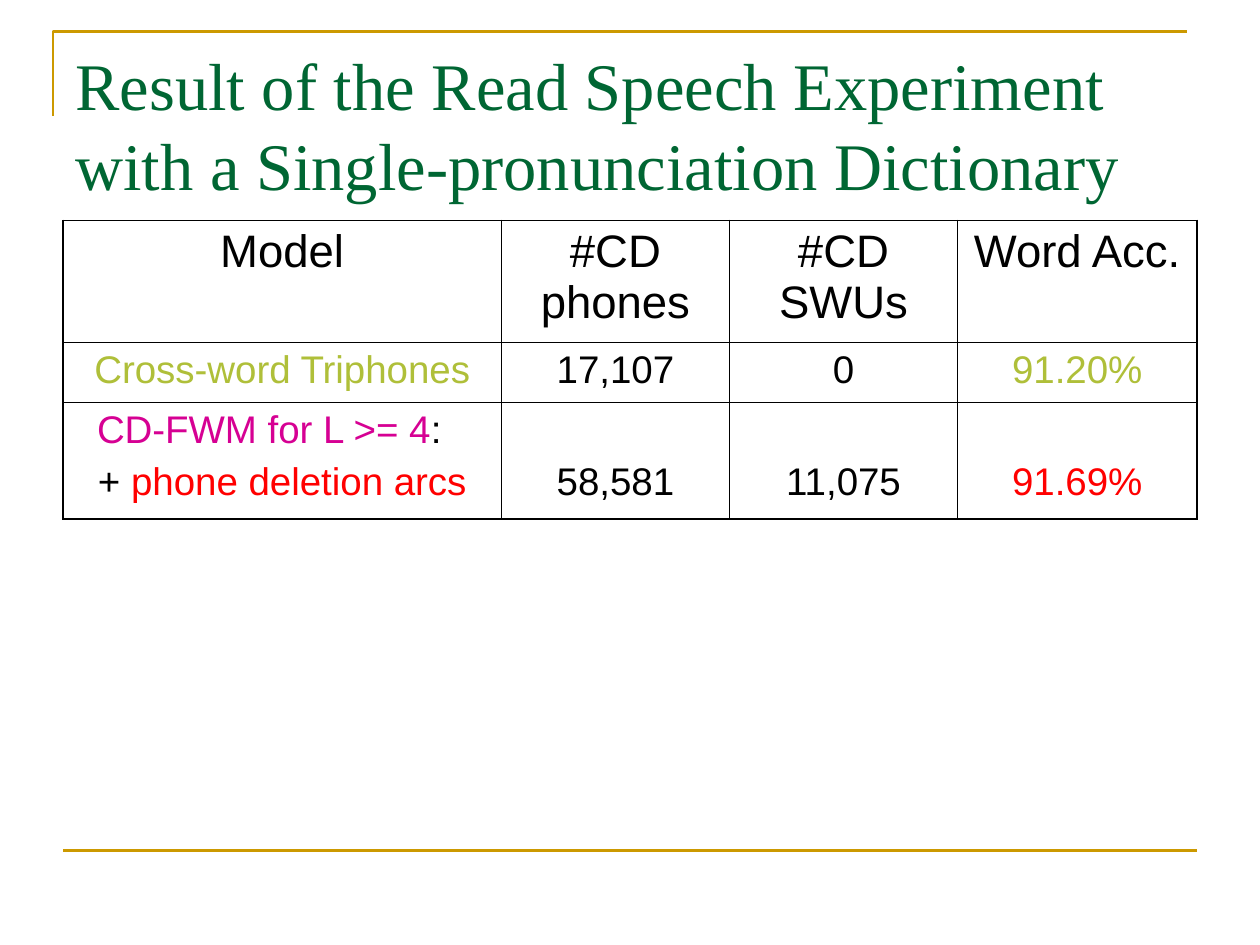
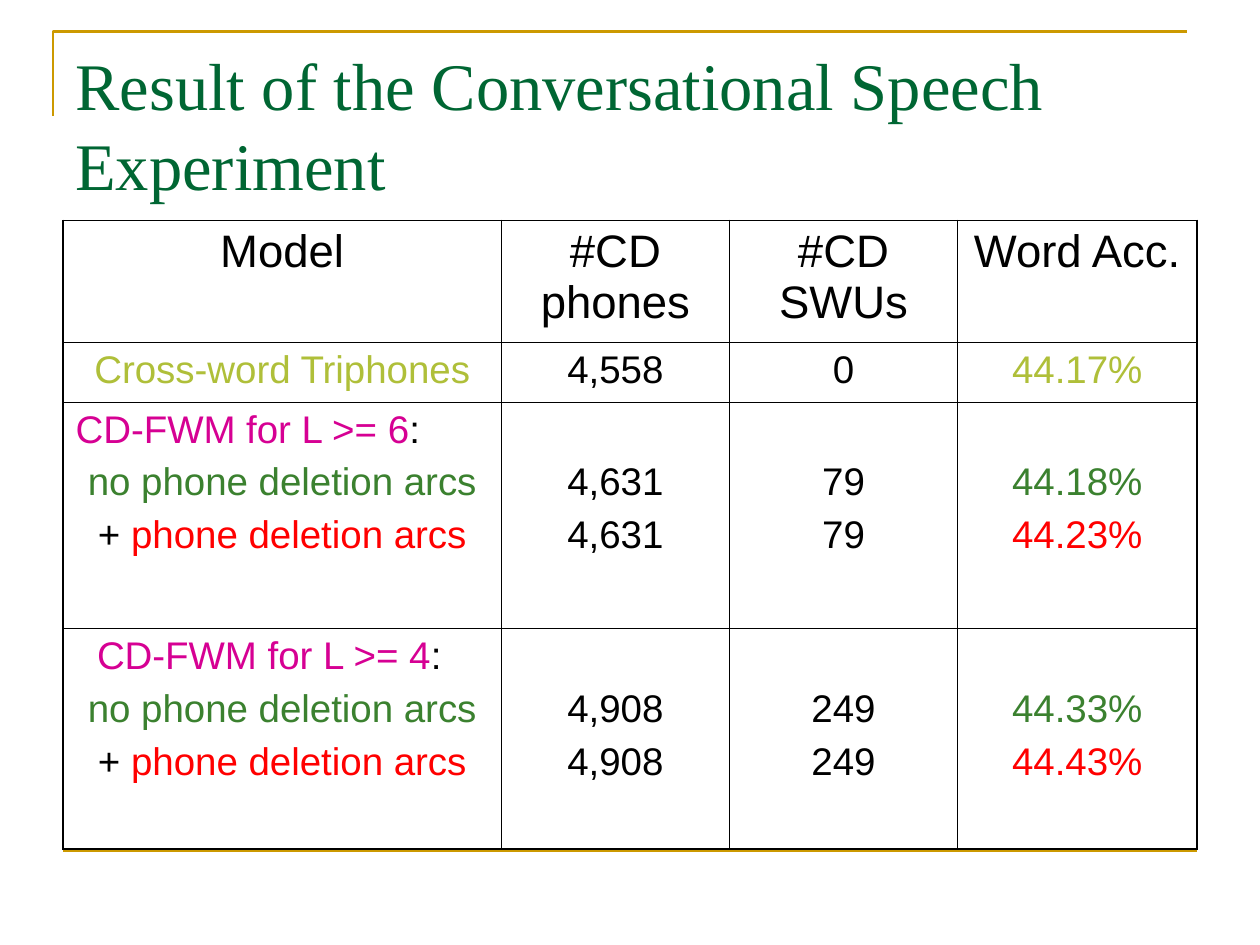
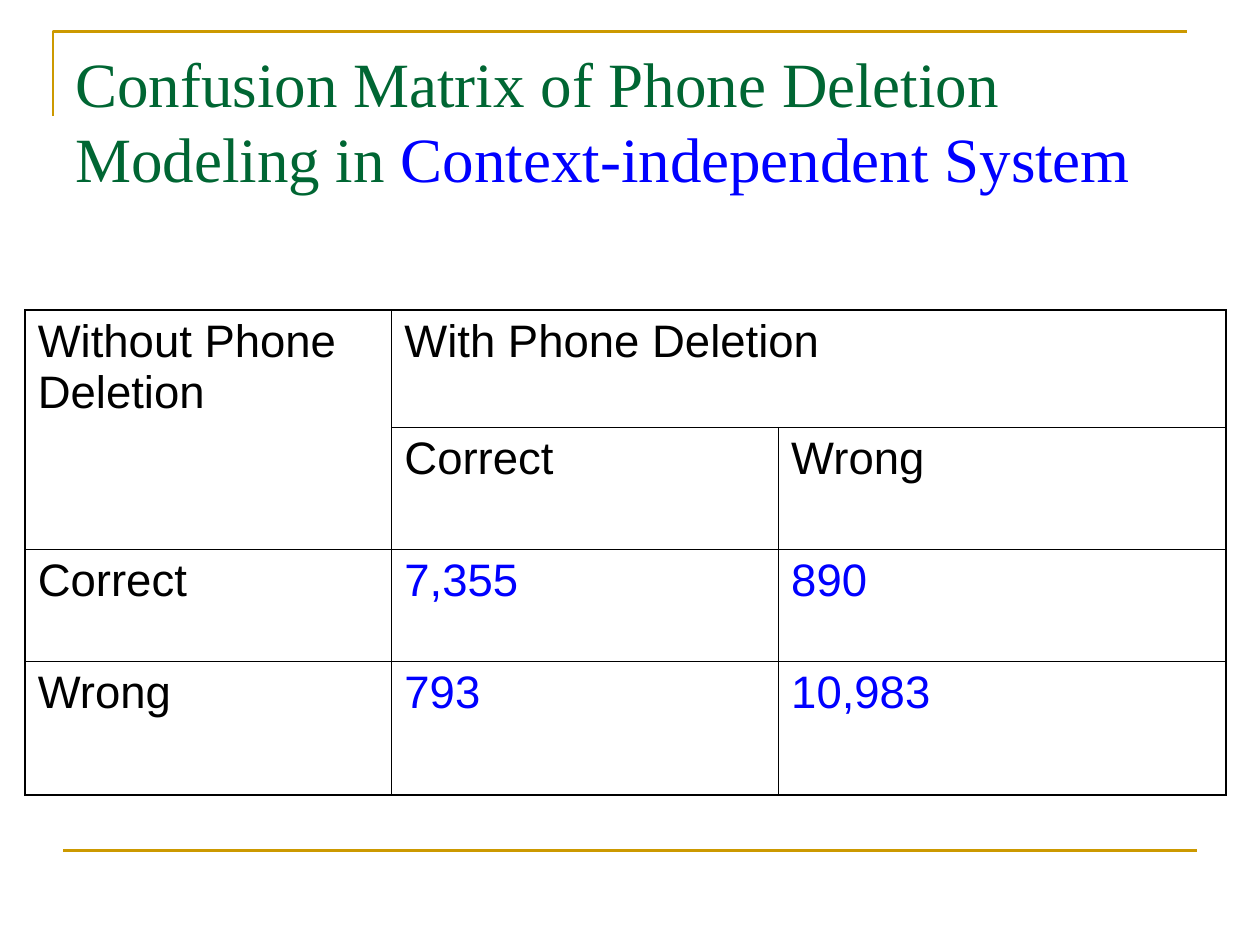
from dataclasses import dataclass

from lxml import etree
from pptx import Presentation
from pptx.dml.color import RGBColor
from pptx.enum.text import PP_ALIGN as Align
from pptx.oxml.ns import qn
from pptx.util import Pt

# Scale, colours and fonts
PX = 9144  # 100 px to the inch
BLACK, GOLD, TITLE_GREEN = "000000", "CC9900", "006633"
BLUE, RED, MAGENTA, LIME, LEAF = "0000FF", "FF0000", "D60093", "AFBF39", "3B812F"
SERIF, SANS = "Times New Roman", "Arial"
MARGIN_X, MARGIN_Y = 10, 5
HEAD_SIZE, BODY_SIZE = 26, 22
BODY_STEP = 42  # one body line with its space before
OUTER, INNER = 1.08, 0.45


@dataclass(frozen=True)
class Span:
    text: str
    color: str = BLACK


@dataclass(frozen=True)
class Line:
    spans: tuple[Span, ...]
    align: Align = Align.CENTER
    indent: int = 0


@dataclass(frozen=True)
class Entry:
    lines: tuple[Line, ...]
    size: int = BODY_SIZE
    drop: int = 0  # extra top margin


@dataclass(frozen=True)
class Grid:
    left: int
    top: int
    columns: tuple[int, ...]
    rows: tuple[int, ...]
    entries: list[list[Entry | None]]
    merges: tuple[tuple[int, int, int, int], ...] = ()


def px(length: int) -> int:
    return length * PX


def rgb(color: str) -> RGBColor:
    return RGBColor.from_string(color)


def write(para, text: str, *, size: int, font: str = SANS, color: str = BLACK) -> None:
    span = para.add_run()
    span.text = text
    span.font.size = Pt(size)
    span.font.name = font
    span.font.color.rgb = rgb(color)


def set_margins(box, top: int = MARGIN_Y) -> None:
    box.margin_left = box.margin_right = px(MARGIN_X)
    box.margin_top, box.margin_bottom = px(top), px(MARGIN_Y)


# Shared frame and title
def draw_frame(page) -> None:
    builder = page.shapes.build_freeform(px(42), px(92))
    builder.add_line_segments([(px(42), px(25)), (px(942), px(25))], close=False)
    bracket = builder.convert_to_shape()
    bracket.fill.background()
    bracket.shadow.inherit = False
    rule = page.shapes.add_connector(1, px(50), px(675), px(950), px(675))
    etree.SubElement(rule._element.spPr, qn("a:effectLst"))
    for stroke in (bracket.line, rule.line):
        stroke.color.rgb = rgb(GOLD)
        stroke.width = Pt(1.5)


def draw_title(page, spans: tuple[Span, ...], size: int, width: int) -> None:
    box = page.shapes.add_textbox(px(50), px(30), px(width), px(125)).text_frame
    box.word_wrap = True
    set_margins(box)
    para = box.paragraphs[0]
    para.line_spacing = Pt(size * 1.2)
    for span in spans:
        write(para, span.text, size=size, font=SERIF, color=span.color)


# Tables
def set_border(cell, side: str, width: float) -> None:
    edge = etree.SubElement(cell._tc.get_or_add_tcPr(), qn(f"a:ln{side}"), w=str(Pt(width)))
    fill = etree.SubElement(edge, qn("a:solidFill"))
    etree.SubElement(fill, qn("a:srgbClr"), val=BLACK)


def fill_cell(cell, entry: Entry) -> None:
    set_margins(cell, MARGIN_Y + entry.drop)
    for index, line in enumerate(entry.lines):
        box = cell.text_frame
        para = box.add_paragraph() if index else box.paragraphs[0]
        para.alignment = line.align
        if index:
            para.space_before = Pt(entry.size / 4)
        if line.indent:
            para._p.get_or_add_pPr().set("marL", str(px(line.indent)))
        for span in line.spans:
            write(para, span.text, size=entry.size, color=span.color)


def draw_grid(page, grid: Grid) -> None:
    row_count, column_count = len(grid.rows), len(grid.columns)
    table = page.shapes.add_table(row_count, column_count, px(grid.left), px(grid.top),
                                  px(sum(grid.columns)), px(sum(grid.rows))).table
    table.first_row = table.horz_banding = False
    for column, width in zip(table.columns, grid.columns):
        column.width = px(width)
    for row, height in zip(table.rows, grid.rows):
        row.height = px(height)
    for top, left, bottom, right in grid.merges:
        table.cell(top, left).merge(table.cell(bottom, right))
    for r, entries in enumerate(grid.entries):
        for c, entry in enumerate(entries):
            cell = table.cell(r, c)
            on_edge = {
                "L": c == 0,
                "R": c + cell.span_width == column_count,
                "T": r == 0,
                "B": r + cell.span_height == row_count,
            }
            for side, outside in on_edge.items():
                set_border(cell, side, OUTER if outside else INNER)
            cell.fill.background()
            if entry:
                fill_cell(cell, entry)


# Table contents
def single(text: str, color: str = BLACK, size: int = BODY_SIZE,
           align: Align = Align.CENTER) -> Entry:
    return Entry((Line((Span(text, color),), align),), size)


def stacked(texts: tuple[str, ...], colors: tuple[str, ...]) -> Entry:
    lines = tuple(Line((Span(text, color),)) for text, color in zip(texts, colors))
    return Entry(lines, drop=BODY_STEP)


def baseline_row(phones: str, accuracy: str) -> list[Entry]:
    return [single("Cross-word Triphones", LIME), single(phones), single("0"),
            single(accuracy, LIME)]


def model_row(length: int, phones: str, units: str, accuracies: tuple[str, ...],
              indent: int = 0) -> list[Entry]:
    """The last accuracy is with deletion arcs; one before it is without."""
    count = len(accuracies)
    heading = Line((Span(f"CD-FWM for L >= {length}", MAGENTA), Span(":")), Align.LEFT, indent)
    variants = (Line((Span("no phone deletion arcs", LEAF),)),
                Line((Span("+ "), Span("phone deletion arcs", RED))))
    black = (BLACK,) * count
    return [Entry((heading, *variants[-count:])), stacked((phones,) * count, black),
            stacked((units,) * count, black), stacked(accuracies, (LEAF, RED)[-count:])]


def result_grid(rows: tuple[int, ...], body: list[list[Entry]]) -> Grid:
    header = [single(text, size=HEAD_SIZE)
              for text in ("Model", "#CD phones", "#CD SWUs", "Word Acc.")]
    return Grid(50, 175, (348, 181, 181, 190), (97, 47, *rows), [header, *body])


def matrix_cell(text: str, color: str = BLACK) -> Entry:
    return single(text, color, HEAD_SIZE, Align.LEFT)


def matrix_row(label: str, *values: str) -> list[Entry]:
    return [matrix_cell(label), *(matrix_cell(value, BLUE) for value in values)]


def add_page(deck, title: tuple[Span, ...], grid: Grid, size: int = 38, width: int = 900) -> None:
    page = deck.slides.add_slide(deck.slide_layouts[6])
    draw_frame(page)
    draw_title(page, title, size, width)
    draw_grid(page, grid)


def main() -> None:
    deck = Presentation()
    deck.slide_width, deck.slide_height = px(1000), px(750)

    # Read speech
    add_page(
        deck,
        (Span("Result of the Read Speech Experiment with a Single-pronunciation Dictionary",
              TITLE_GREEN),),
        result_grid((93,), [
            baseline_row("17,107", "91.20%"),
            model_row(4, "58,581", "11,075", ("91.69%",), indent=17),
        ]),
    )

    # Conversational speech
    add_page(
        deck,
        (Span("Result of the Conversational Speech Experiment", TITLE_GREEN),),
        result_grid((180, 175), [
            baseline_row("4,558", "44.17%"),
            model_row(6, "4,631", "79", ("44.18%", "44.23%")),
            model_row(4, "4,908", "249", ("44.33%", "44.43%"), indent=17),
        ]),
    )

    # Confusion matrix
    add_page(
        deck,
        (Span("Confusion Matrix of Phone Deletion Modeling in ", TITLE_GREEN),
         Span("Context-independent System", BLUE)),
        Grid(20, 246, (291, 307, 355), (93, 97, 89, 106), [
            [matrix_cell("Without Phone Deletion"), matrix_cell("With Phone Deletion"), None],
            [None, matrix_cell("Correct"), matrix_cell("Wrong")],
            matrix_row("Correct", "7,355", "890"),
            matrix_row("Wrong", "793", "10,983"),
        ], merges=((0, 0, 1, 0), (0, 1, 0, 2))),
        size=36,
        width=915,
    )

    deck.save("out.pptx")


if __name__ == "__main__":
    main()
